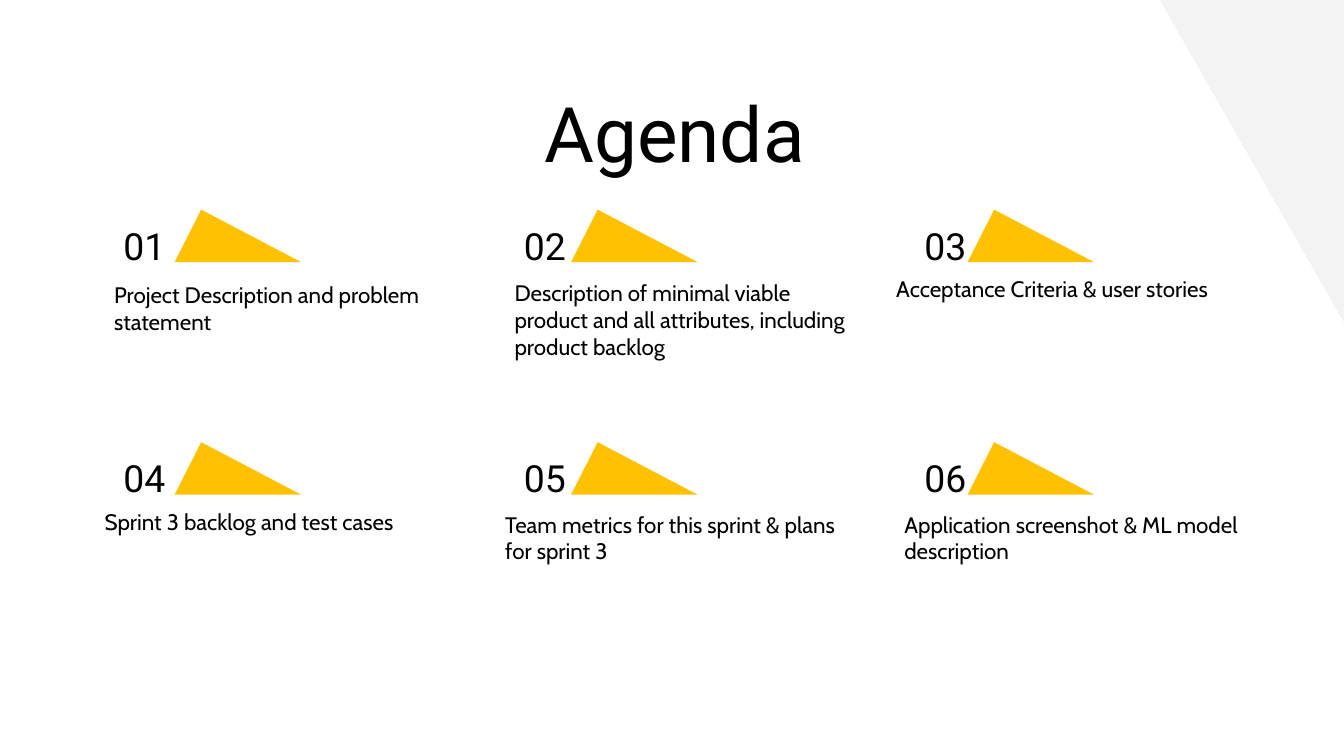
import pptx
import pptx.dml.color
import pptx.enum.shapes
import pptx.enum.text
import pptx.util

Inches = pptx.util.Inches
SHAPE = pptx.enum.shapes.MSO_SHAPE
ANCHOR = pptx.enum.text.MSO_ANCHOR
ALIGN = pptx.enum.text.PP_ALIGN

BLACK = pptx.dml.color.RGBColor(0x00, 0x00, 0x00)
YELLOW = pptx.dml.color.RGBColor(0xFF, 0xC1, 0x00)
PALE_GREY = pptx.dml.color.RGBColor(0xF3, 0xF3, 0xF3)

COLUMNS = 3
TRIANGLE_LEFT, TRIANGLE_TOP, TRIANGLE_STEP = 1.3, 1.56, 2.95
NUMBER_LEFT, NUMBER_TOP, NUMBER_STEP = 0.82, 1.63, 2.98
ROW_STEP = 1.73

AGENDA = [
    ("Project Description and problem statement", 0.75, 1.99),
    ("Description of minimal viable product and all attributes, including product backlog", 3.73, 1.98),
    ("Acceptance Criteria & user stories", 6.57, 1.95),
    ("Sprint 3 backlog and test cases", 0.68, 3.68),
    ("Team metrics for this sprint & plans for sprint 3", 3.66, 3.7),
    ("Application screenshot & ML model description", 6.63, 3.7),
]


def add_filled(s, kind, left, top, width, height, color):
    sp = s.shapes.add_shape(kind, Inches(left), Inches(top), Inches(width), Inches(height))
    sp.shadow.inherit = False
    sp.fill.solid()
    sp.fill.fore_color.rgb = color
    sp.line.fill.background()
    return sp


def add_text(s, text, left, top, width, height, font, size, anchor=ANCHOR.TOP, align=ALIGN.LEFT):
    sp = s.shapes.add_textbox(Inches(left), Inches(top), Inches(width), Inches(height))
    tf = sp.text_frame
    tf.word_wrap = True
    tf.vertical_anchor = anchor
    tf.margin_left = tf.margin_right = tf.margin_top = tf.margin_bottom = Inches(0.1)
    p = tf.paragraphs[0]
    p.alignment = align
    r = p.add_run()
    r.text = text
    r.font.name = font
    r.font.size = pptx.util.Pt(size)
    r.font.color.rgb = BLACK


def add_agenda_item(s, index, text, left, top):
    row, col = divmod(index, COLUMNS)
    sp = add_filled(s, SHAPE.ISOSCELES_TRIANGLE, TRIANGLE_LEFT + col * TRIANGLE_STEP,
                    TRIANGLE_TOP + row * ROW_STEP, 0.94, 0.39, YELLOW)
    sp.adjustments[0] = 0.21
    add_text(s, f"{index + 1:02d}", NUMBER_LEFT + col * NUMBER_STEP,
             NUMBER_TOP + row * ROW_STEP, 1.18, 0.39, "Roboto", 20, ANCHOR.MIDDLE)
    add_text(s, text, left, top, 2.82, 0.39, "Cabin", 12)


def main():
    """Build the agenda slide and save it."""
    prs = pptx.Presentation()
    prs.slide_width = Inches(10)
    prs.slide_height = prs.slide_width * 9 // 16
    s = prs.slides.add_slide(prs.slide_layouts[6])
    corner = add_filled(s, SHAPE.RIGHT_TRIANGLE, 8.63, 0, 1.37, 2.4, PALE_GREY)
    corner.rotation = 180
    add_text(s, "Agenda", 0.59, 0.54, 8.86, 0.63, "Roboto", 41, align=ALIGN.CENTER)
    for index, (text, left, top) in enumerate(AGENDA):
        add_agenda_item(s, index, text, left, top)
    prs.save("out.pptx")


if __name__ == "__main__":
    main()
